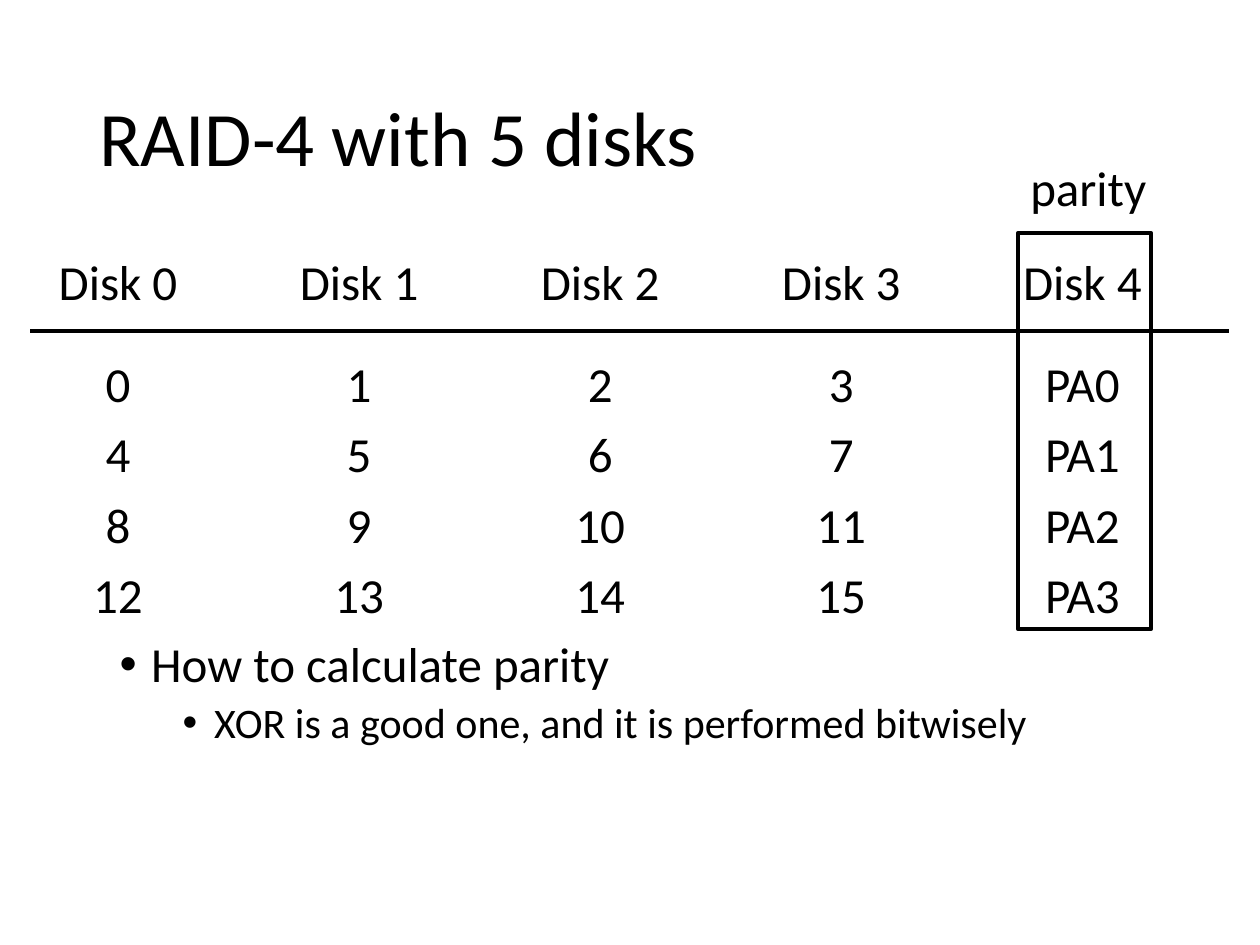
import pptx
import pptx.dml.color
import pptx.enum.shapes
import pptx.enum.text
import pptx.oxml.ns
import pptx.util
import lxml.etree

Cm = pptx.util.Cm
Pt = pptx.util.Pt
HUES = {"ink": "000000"}
FONT = "Calibri"
DISKS = 5
ROWS = 4


def hue(name):
    return pptx.dml.color.RGBColor.from_string(HUES[name])


def add_node(base, tag, **attrs):
    return lxml.etree.SubElement(base, pptx.oxml.ns.qn(tag), attrs)


def style(para, size, before=0, lead=0.9):
    para.line_spacing = lead
    para.space_before = Pt(before)
    for run in para.runs:
        run.font.name = FONT
        run.font.size = Pt(size)
        run.font.color.rgb = hue("ink")


def add_text(slide, left, top, width, height, lines, wrap=True):
    box = slide.shapes.add_textbox(Cm(left), Cm(top), Cm(width), Cm(height))
    frame = box.text_frame
    frame.word_wrap = wrap
    frame.text = "\n".join(lines)
    return frame


def set_tabs(para, first, step, count):
    tabs = add_node(para._p.get_or_add_pPr(), "a:tabLst")
    for col in range(count):
        add_node(tabs, "a:tab", pos=str(Cm(first + col * step)), algn="ctr")


def set_bullet(para, left, hang):
    props = para._p.get_or_add_pPr()
    props.set("marL", str(Cm(left)))
    props.set("indent", str(-Cm(hang)))
    add_node(props, "a:buFont", typeface="Arial")
    add_node(props, "a:buChar", char="•")


def add_title(slide, text):
    frame = add_text(slide, 1.75, 1.02, 21.9, 3.68, [text])
    frame.vertical_anchor = pptx.enum.text.MSO_ANCHOR.MIDDLE
    style(frame.paragraphs[0], 44)


def add_grid(slide):
    data = DISKS - 1
    cells = [[f"Disk {disk}" for disk in range(DISKS)]]
    for row in range(ROWS):
        blocks = [str(row * data + col) for col in range(data)]
        cells.append(blocks + [f"PA{row}"])
    lines = ["\t" + "\t".join(row) for row in cells]
    frame = add_text(slide, 0.61, 5.08, 23.04, 12.09, lines)
    gaps = [0, 28] + [10] * (ROWS - 1)
    for para, gap in zip(frame.paragraphs, gaps):
        style(para, 28, gap)
        set_tabs(para, 1.52, 4.86, DISKS)


def add_rule(slide, left, right, top):
    kind = pptx.enum.shapes.MSO_CONNECTOR.STRAIGHT
    rule = slide.shapes.add_connector(kind, Cm(left), Cm(top), Cm(right), Cm(top))
    rule.line.color.rgb = hue("ink")
    rule.line.width = Pt(2.25)
    add_node(rule._element.spPr, "a:effectLst")


def add_frame(slide, left, top, width, height):
    kind = pptx.enum.shapes.MSO_SHAPE.RECTANGLE
    box = slide.shapes.add_shape(kind, Cm(left), Cm(top), Cm(width), Cm(height))
    box.shadow.inherit = False
    box.fill.background()
    box.line.color.rgb = hue("ink")
    box.line.width = Pt(2.25)


def add_list(slide, items):
    frame = add_text(slide, 2.16, 12.78, 21.9, 4.8, [item[0] for item in items])
    for para, (text, level, size, gap) in zip(frame.paragraphs, items):
        para.level = level
        style(para, size, gap)
        set_bullet(para, 0.64 + 1.27 * level, 0.64)


def main():
    deck = pptx.Presentation()
    deck.slide_width = Cm(25.4)
    deck.slide_height = Cm(19.05)
    slide = deck.slides.add_slide(deck.slide_layouts[6])
    add_title(slide, "RAID-4 with 5 disks")
    add_grid(slide)
    add_rule(slide, 0.61, 24.77, 6.68)
    add_list(slide, [
        ("How to calculate parity", 0, 28, 10),
        ("XOR is a good one, and it is performed bitwisely", 1, 24, 5),
    ])
    add_frame(slide, 20.52, 4.7, 2.69, 7.98)
    label = add_text(slide, 20.52, 3.05, 2.87, 1.45, ["parity"], wrap=False)
    style(label.paragraphs[0], 28, lead=1.0)
    deck.save("out.pptx")


main()
